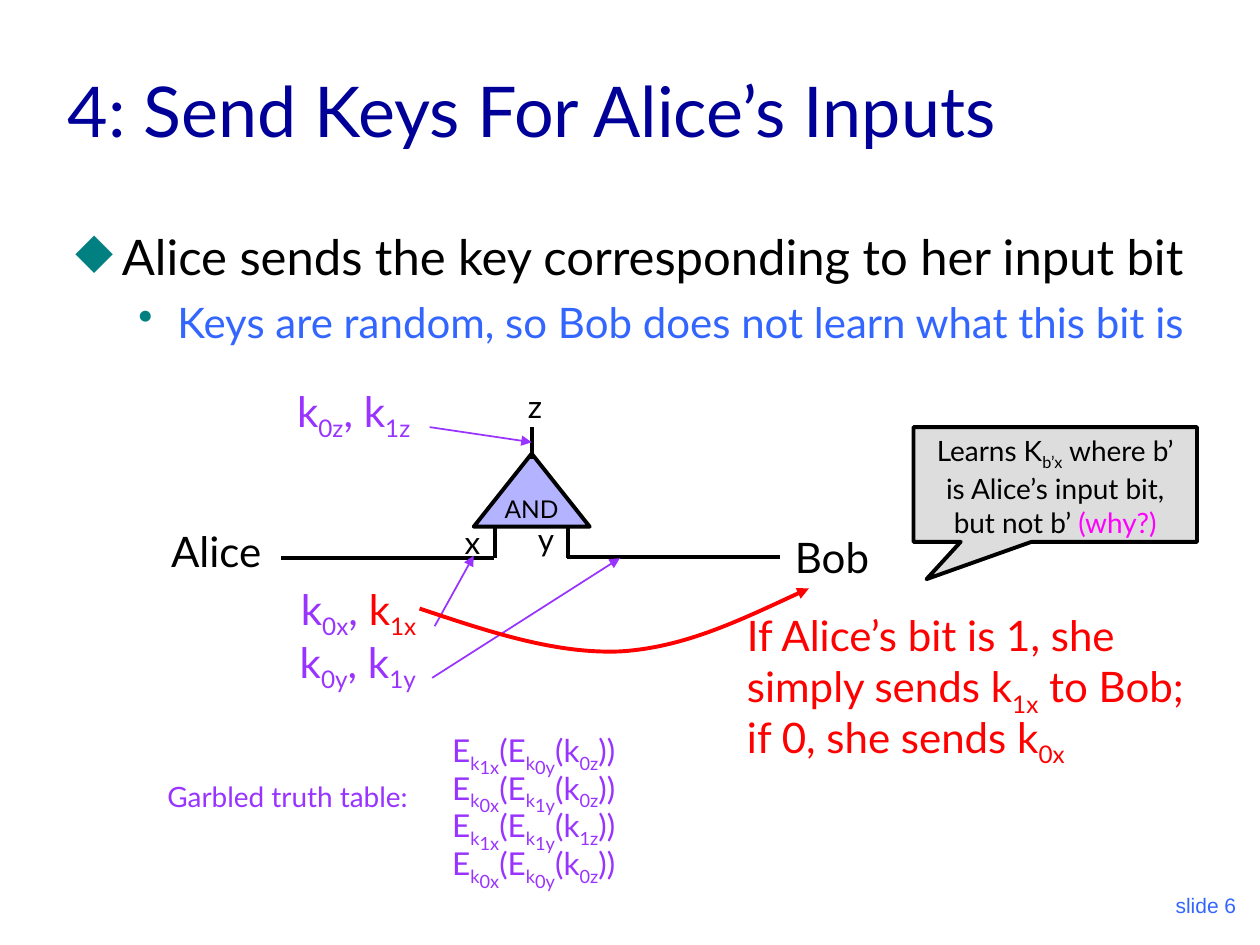
from lxml.etree import SubElement
from pptx import Presentation
from pptx.dml.color import RGBColor
from pptx.enum.shapes import MSO_CONNECTOR, MSO_SHAPE
from pptx.enum.text import MSO_ANCHOR, MSO_AUTO_SIZE, PP_ALIGN
from pptx.oxml.ns import qn
from pptx.util import Inches, Pt

HUES = {
    "black": "000000", "navy": "000099", "blue": "3366FF", "teal": "008080",
    "violet": "9933FF", "lilac": "B3B3FF", "red": "FF0000",
    "pink": "FF00FF", "grey": "DDDDDD",
}
SUB, DEEP = -25, -40


def pair(wire, hue="violet"):
    return [("k",), ("0" + wire, SUB), (", ",), ("k", 0, hue), ("1" + wire, SUB, hue)]


TITLE = "4: Send Keys For Alice’s Inputs"
BULLETS = [
    ("Alice sends the key corresponding to her input bit", 28, "black", "◆", 0, 0.37, 0.37, 7),
    ("Keys are random, so Bob does not learn what this bit is", 24, "blue", "•", 1, 0.81, 0.31, 6),
]
LABELS = [
    ((3.59, 4.1, 0.33, 0.4), [("x",)], 18, "black"),
    ((4.17, 4.08, 0.33, 0.4), [("y",)], 18, "black"),
    ((4.09, 3.02, 0.31, 0.4), [("z",)], 18, "black"),
    ((1.26, 4.12, 0.93, 0.5), [("Alice",)], 24, "black"),
    ((6.21, 4.17, 0.82, 0.5), [("Bob",)], 24, "black"),
    ((2.26, 3.01, 1.13, 0.56), pair("z"), 24, "violet"),
    ((2.29, 4.58, 1.16, 0.56), pair("x", "red"), 24, "violet"),
    ((2.28, 5, 1.15, 0.56), pair("y"), 24, "violet"),
    ((1.23, 6.14, 2.25, 0.37), [("Garbled truth table:",)], 16, "violet"),
]
TABLE = [("1x", "0y", "0z"), ("0x", "1y", "0z"), ("1x", "1y", "1z"), ("0x", "0y", "0z")]
ANSWER = [
    [("If Alice’s bit is 1, she",)],
    [("simply sends k",), ("1x", SUB), (" to Bob;",)],
    [("if 0, she sends k",), ("0x", SUB)],
]
CALLOUT = [
    ("Learns K",), ("b’x", SUB),
    (" where b’ is Alice’s input bit, but not b’ ",), ("(why?)", 0, "pink"),
]
WIRES = [
    (3.93, 4.18, 3.93, 4.43), (4.51, 4.18, 4.51, 4.43), (4.22, 3.39, 4.22, 3.64),
    (3.92, 4.43, 2.23, 4.43), (6.19, 4.42, 4.5, 4.42),
]
ARROWS = [(3.41, 3.39, 4.22, 3.51), (3.45, 4.97, 3.76, 4.41), (3.43, 5.38, 4.92, 4.43)]
CURVE = [
    (3.33, 4.83), (3.87, 5.01), (4.4, 5.19), (4.92, 5.17),
    (5.43, 5.14), (5.92, 4.9), (6.42, 4.67),
]

deck = Presentation()
deck.slide_width, deck.slide_height = Inches(10), Inches(7.5)
slide = deck.slides.add_slide(deck.slide_layouts[6])
shapes = slide.shapes


def color(name):
    return RGBColor.from_string(HUES[name])


def write(para, runs, size, hue, font="Lato", gap=None):
    para.space_before = Pt(size / 4 if gap is None else gap)
    for text, base, tint in ((*r, 0, None)[:3] if len(r) < 3 else r for r in runs):
        run = para.add_run()
        run.text = text
        run.font.size, run.font.name = Pt(size), font
        run.font.color.rgb = color(tint or hue)
        if base:
            run.font._element.set("baseline", str(base * 1000))


def box(at, wrap=False):
    frame = shapes.add_textbox(*map(Inches, at)).text_frame
    frame.word_wrap = wrap
    if not wrap:
        frame.auto_size = MSO_AUTO_SIZE.SHAPE_TO_FIT_TEXT
    return frame


def label(at, lines, size, hue):
    frame = box(at)
    for i, runs in enumerate(lines):
        para = frame.add_paragraph() if i else frame.paragraphs[0]
        write(para, runs, size, hue)
        if i:
            para.line_spacing = 0.7


def stroke(line, hue, width, head=False):
    line.color.rgb, line.width = color(hue), Pt(width)
    if head:
        SubElement(line._get_or_add_ln(), qn("a:tailEnd"), type="triangle")


def link(ends, hue, width, head=False):
    wire = shapes.add_connector(MSO_CONNECTOR.STRAIGHT, *map(Inches, ends))
    stroke(wire.line, hue, width, head)
    SubElement(wire._element.spPr, qn("a:effectLst"))


def solid(kind, at, fill, runs, size, anchor, wrap):
    shape = shapes.add_shape(kind, *map(Inches, at))
    shape.shadow.inherit = False
    shape.fill.solid()
    shape.fill.fore_color.rgb = color(fill)
    stroke(shape.line, "black", 2.25)
    frame = shape.text_frame
    frame.word_wrap, frame.vertical_anchor = wrap, anchor
    frame.paragraphs[0].alignment = PP_ALIGN.CENTER
    write(frame.paragraphs[0], runs, size, "black")
    return shape


def arc(points):
    pen = shapes.build_freeform(*(Inches(v) for v in points[0]))
    pen.add_line_segments([(Inches(x), Inches(y)) for x, y in points[1:]], close=False)
    shape = pen.convert_to_shape()
    shape.shadow.inherit = False
    shape.fill.background()
    stroke(shape.line, "red", 2.25, True)
    track = shape._element.find(".//" + qn("a:path"))
    steps = track.findall(qn("a:lnTo"))
    for i in range(0, len(steps), 3):
        bend = SubElement(track, qn("a:cubicBezTo"))
        for step in steps[i:i + 3]:
            bend.append(step[0])
            track.remove(step)


foot = box((7.83, 6.83, 2.08, 0.5), True)
foot.vertical_anchor = MSO_ANCHOR.BOTTOM
foot.paragraphs[0].alignment = PP_ALIGN.RIGHT
write(foot.paragraphs[0], [("slide 6",)], 12, "blue", "Arial", 7.5)

head = box((0.44, 0.25, 9.22, 1), True)
head.vertical_anchor = MSO_ANCHOR.BOTTOM
write(head.paragraphs[0], [(TITLE,)], 40, "navy", gap=0)

body = box((0.5, 1.75, 9.33, 5.5), True)
for i, (text, size, hue, mark, level, left, hang, gap) in enumerate(BULLETS):
    para = body.add_paragraph() if i else body.paragraphs[0]
    para.level = level
    write(para, [(text,)], size, hue, gap=gap)
    props = para._p.get_or_add_pPr()
    props.set("marL", str(Inches(left)))
    props.set("indent", str(-Inches(hang)))
    tint = SubElement(props, qn("a:buClr"))
    SubElement(tint, qn("a:srgbClr"), val=HUES["teal"])
    SubElement(props, qn("a:buChar"), char=mark)

solid(MSO_SHAPE.ISOSCELES_TRIANGLE, (3.76, 3.6, 0.92, 0.58), "lilac",
      [("AND",)], 14, MSO_ANCHOR.MIDDLE, False)
for ends in WIRES:
    link(ends, "black", 2.25)
for at, runs, size, hue in LABELS:
    label(at, [runs], size, hue)
for ends in ARROWS:
    link(ends, "violet", 1, True)
arc(CURVE)
label((5.83, 4.79, 3.91, 1.31), ANSWER, 24, "red")

note = solid(MSO_SHAPE.RECTANGULAR_CALLOUT, (7.25, 3.39, 2.25, 0.91), "grey",
             CALLOUT, 16, MSO_ANCHOR.TOP, True)
note.adjustments[0], note.adjustments[1] = -0.454, 0.826

for i, (x, y, z) in enumerate(TABLE):
    runs = [("E",), ("k", SUB), (x, DEEP), ("(E",), ("k", SUB), (y, DEEP),
            ("(k",), (z, SUB), ("))",)]
    label((3.49, 5.75 + 0.3 * i, 1.53, 0.48), [runs], 18, "violet")

deck.save("out.pptx")
